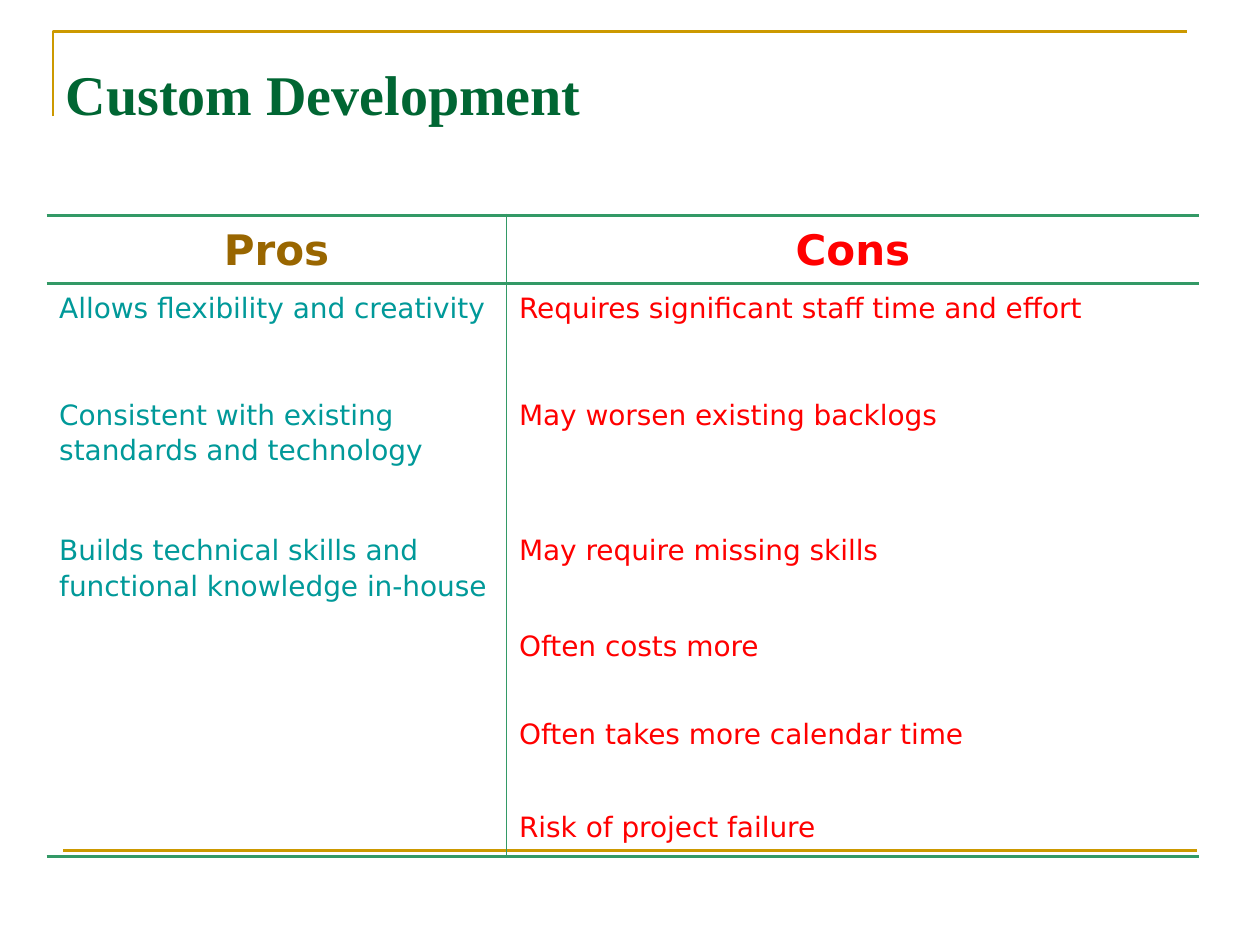
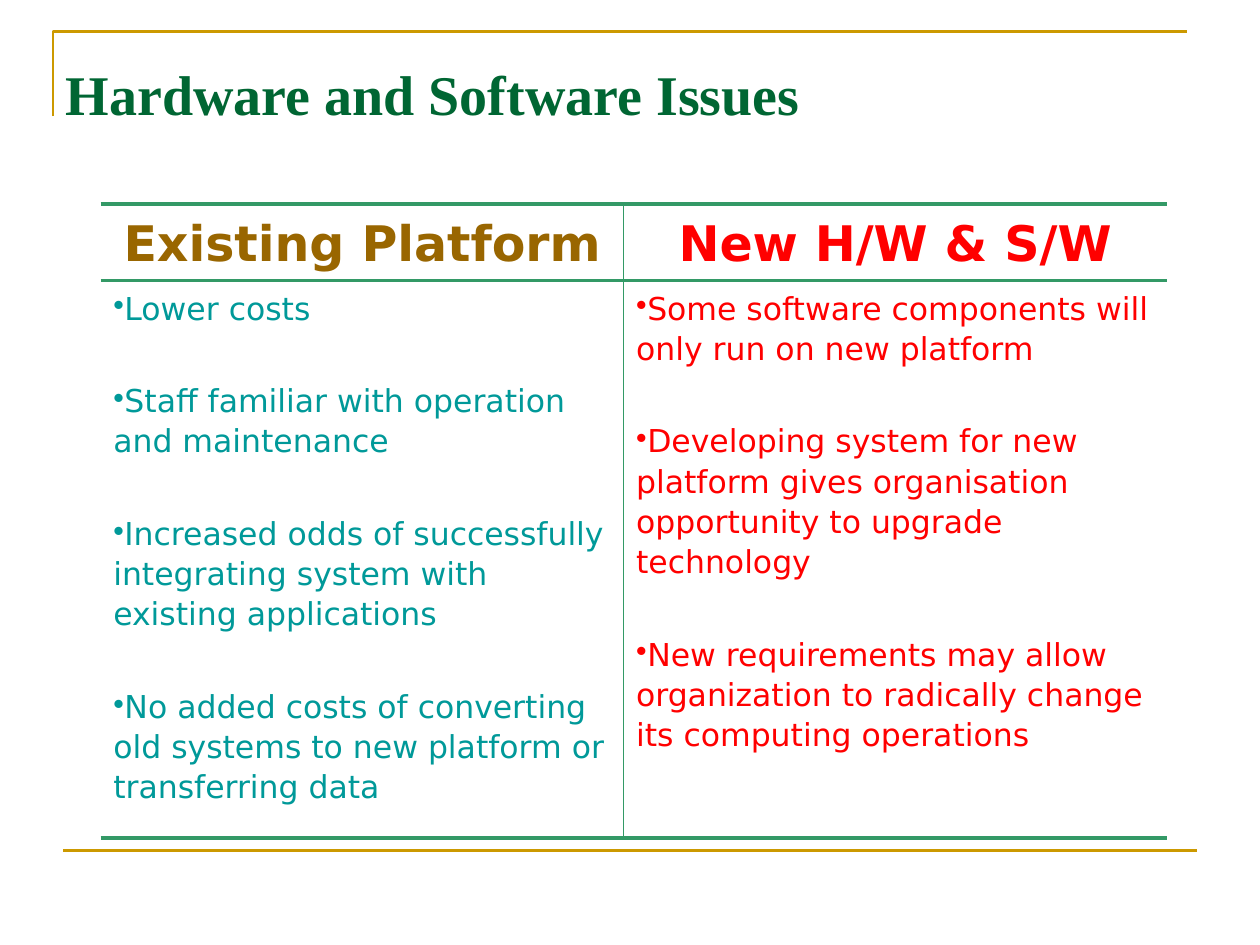
import pptx
import pptx.dml.color
import pptx.enum.text
import pptx.oxml.ns
import pptx.util
from lxml import etree

Cm = pptx.util.Cm
Pt = pptx.util.Pt

# Content: each body row holds one list of points per column
SLIDES = [
    {
        "title": "Custom Development",
        "headers": ("Pros", "Cons"),
        "body": [
            (["Allows flexibility and creativity"],
             ["Requires significant staff time and effort"]),
            (["Consistent with existing standards and technology"],
             ["May worsen existing backlogs"]),
            (["Builds technical skills and functional knowledge in-house"],
             ["May require missing skills"]),
            ([], ["Often costs more"]),
            ([], ["Often takes more calendar time"]),
            ([], ["Risk of project failure"]),
        ],
        "position": (0.94, 4.34),
        "columns": (9.27, 13.97),
        "rows": (1.37, 1.37, 3.51, 1.93, 0.99, 1.88, 1.88),
        "lowered_rows": (2, 5, 6),
        "header_size": 24,
        "body_size": 16,
        "bullet": None,
    },
    {
        "title": "Hardware and Software Issues",
        "headers": ("Existing Platform", "New H/W & S/W"),
        "body": [
            (["Lower costs",
              "Staff familiar with operation and maintenance",
              "Increased odds of successfully integrating system with existing applications",
              "No added costs of converting old systems to new platform or transferring data"],
             ["Some software components will only run on new platform",
              "Developing system for new platform gives organisation opportunity to upgrade technology",
              "New requirements may allow organization to radically change its computing operations"]),
        ],
        "position": (2.03, 4.11),
        "columns": (10.54, 10.95),
        "rows": (1.55, 11.23),
        "lowered_rows": (),
        "header_size": 28,
        "body_size": 18,
        "bullet": "•",
    },
]

# Shared style
COLORS = {
    "frame": "CC9900",
    "title": "006633",
    "border": "339966",
    "pros_header": "996600",
    "pros": "009999",
    "cons": "FF0000",
}
HEADER_COLORS = ("pros_header", "cons")
BODY_COLORS = ("pros", "cons")
TITLE_FONT = "Times New Roman"
TABLE_FONT = "DejaVu Sans"
FRAME_WIDTH = 1.5
THICK, THIN = 2.25, 1
CELL_MARGIN = 0.13
LOWERED_MARGIN = 0.91
POINT_GAP = 30


def rgb(name):
    return pptx.dml.color.RGBColor.from_string(COLORS[name])


def add_child(parent, tag, **attributes):
    return etree.SubElement(parent, pptx.oxml.ns.qn(tag), attributes)


def add_run(paragraph, text, font_name, size, color, bold=False):
    run = paragraph.add_run()
    run.text = text
    run.font.name = font_name
    run.font.size = Pt(size)
    run.font.bold = bold
    run.font.color.rgb = rgb(color)


def style_frame_line(shape):
    shape.line.color.rgb = rgb("frame")
    shape.line.width = Pt(FRAME_WIDTH)


def add_frame(slide):
    # Corner line above the title
    left, top = Cm(1.07), Cm(0.64)
    builder = slide.shapes.build_freeform(left, Cm(2.34))
    builder.add_line_segments([(left, top), (Cm(23.93), top)], close=False)
    corner = builder.convert_to_shape()
    corner.fill.background()
    corner.shadow.inherit = False
    style_frame_line(corner)

    # Footer line
    footer = slide.shapes.add_connector(
        pptx.enum.shapes.MSO_CONNECTOR.STRAIGHT,
        Cm(1.27), Cm(17.15), Cm(24.13), Cm(17.15))
    style_frame_line(footer)
    add_child(footer._element.spPr, "a:effectLst")


def add_title(slide, text):
    title = slide.shapes.title
    title.left, title.top = Cm(1.07), Cm(1.07)
    title.width, title.height = Cm(23.06), Cm(2.97)
    frame = title.text_frame
    frame.auto_size = pptx.enum.text.MSO_AUTO_SIZE.NONE
    frame.vertical_anchor = pptx.enum.text.MSO_ANCHOR.TOP
    paragraph = frame.paragraphs[0]
    paragraph.alignment = pptx.enum.text.PP_ALIGN.LEFT
    add_run(paragraph, text, TITLE_FONT, 32, "title", bold=True)


def set_borders(cell, widths):
    """Draw the edges named in widths and clear the others."""
    properties = cell._tc.get_or_add_tcPr()
    for edge in "LRTB":
        width = widths.get(edge)
        line = add_child(properties, f"a:ln{edge}", w=str(Pt(width or 0)))
        if width:
            fill = add_child(line, "a:solidFill")
            add_child(fill, "a:srgbClr", val=COLORS["border"])
        else:
            add_child(line, "a:noFill")


def fill_header(cell, text, size, color):
    paragraph = cell.text_frame.paragraphs[0]
    paragraph.alignment = pptx.enum.text.PP_ALIGN.CENTER
    paragraph.line_spacing = 1.1
    add_run(paragraph, text, TABLE_FONT, size, color, bold=True)


def fill_points(cell, points, size, color, bullet):
    for index, point in enumerate(points):
        frame = cell.text_frame
        paragraph = frame.add_paragraph() if index else frame.paragraphs[0]
        if bullet:
            properties = paragraph._p.get_or_add_pPr()
            properties.set("marL", "0")
            properties.set("indent", "0")
            add_child(properties, "a:buChar", char=bullet)
        paragraph.line_spacing = 1.1
        if index:
            paragraph.space_before = Pt(POINT_GAP)
        add_run(paragraph, point, TABLE_FONT, size, color)


def add_comparison(slide, content):
    columns, rows = content["columns"], content["rows"]
    left, top = content["position"]
    table = slide.shapes.add_table(
        len(rows), len(columns), Cm(left), Cm(top),
        Cm(sum(columns)), Cm(sum(rows))).table
    table.first_row = table.horz_banding = False
    for column, width in zip(table.columns, columns):
        column.width = Cm(width)
    for row, height in zip(table.rows, rows):
        row.height = Cm(height)

    last_row = len(rows) - 1
    for row_index in range(len(rows)):
        for column_index in range(len(columns)):
            cell = table.cell(row_index, column_index)
            widths = {"L" if column_index else "R": THIN}
            if row_index <= 1:
                widths["T"] = THICK
            if row_index in (0, last_row):
                widths["B"] = THICK
            set_borders(cell, widths)
            cell.fill.background()
            cell.margin_top = cell.margin_bottom = Cm(CELL_MARGIN)

            if row_index == 0:
                fill_header(cell, content["headers"][column_index],
                            content["header_size"], HEADER_COLORS[column_index])
                continue
            points = content["body"][row_index - 1][column_index]
            fill_points(cell, points, content["body_size"],
                        BODY_COLORS[column_index], content["bullet"])
            if not points:
                cell.margin_top = cell.margin_bottom = 0
            elif row_index in content["lowered_rows"]:
                cell.margin_top = Cm(LOWERED_MARGIN)


def main():
    presentation = pptx.Presentation()
    presentation.slide_width, presentation.slide_height = Cm(25.4), Cm(19.05)
    title_only = presentation.slide_layouts[5]
    for content in SLIDES:
        slide = presentation.slides.add_slide(title_only)
        add_frame(slide)
        add_title(slide, content["title"])
        add_comparison(slide, content)
    presentation.save("out.pptx")


if __name__ == "__main__":
    main()
